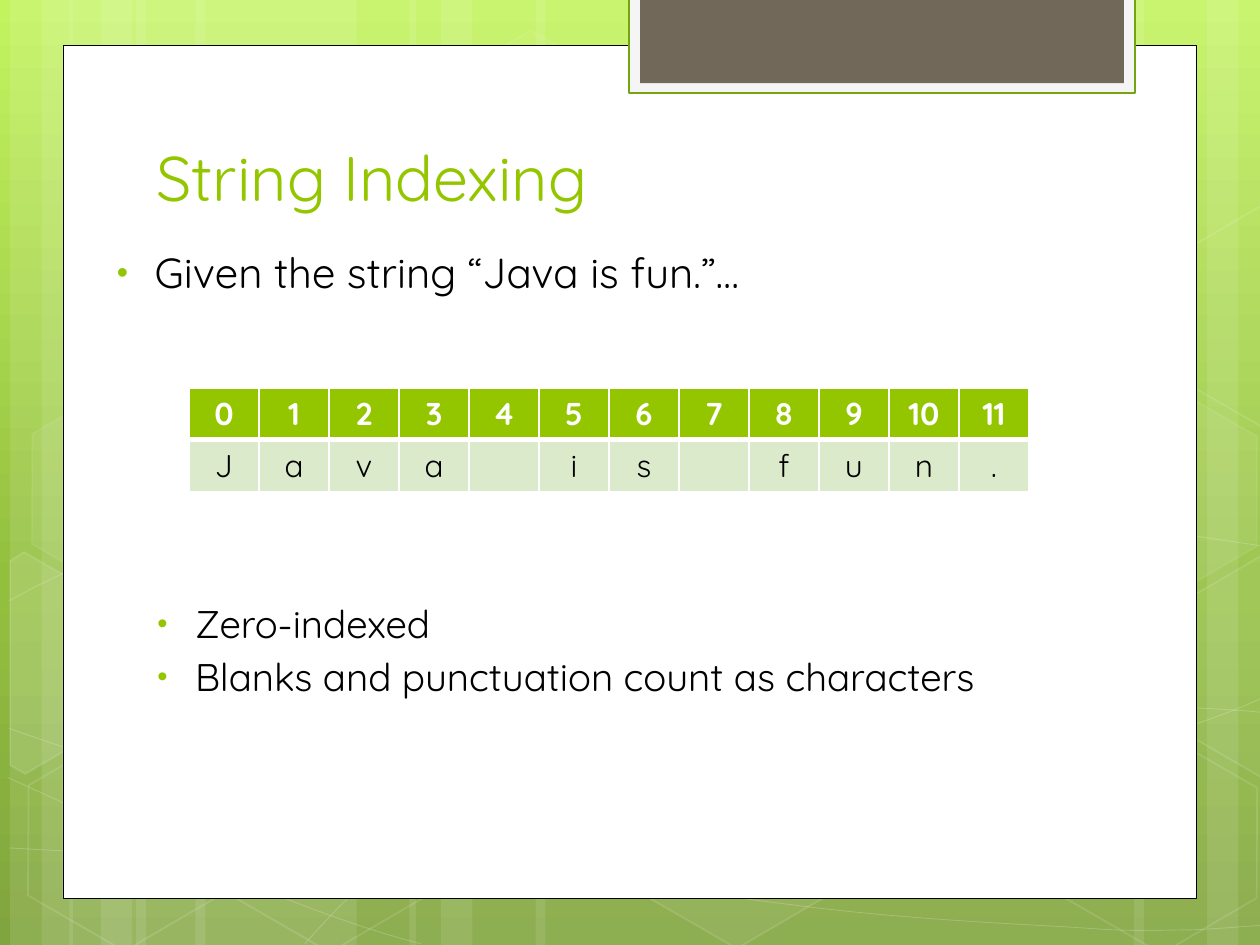
import copy
import math
from dataclasses import dataclass
from typing import NamedTuple

import pptx
import pptx.dml.color
import pptx.enum.shapes
import pptx.enum.text
import pptx.oxml
import pptx.oxml.ns
import pptx.util
from lxml import etree

Inches, Pt = pptx.util.Inches, pptx.util.Pt
RGB = pptx.dml.color.RGBColor.from_string
SHAPE = pptx.enum.shapes.MSO_SHAPE
ANCHOR, ALIGN = pptx.enum.text.MSO_ANCHOR, pptx.enum.text.PP_ALIGN
qn = pptx.oxml.ns.qn


@dataclass(frozen=True)
class Theme:
    font: str = "Quicksand"
    accent: str = "94C600"
    white: str = "FFFFFF"
    text: str = "000000"
    cell: str = "DCEACC"
    tab: str = "71685A"
    tab_frame: str = "F5F5F5"
    tab_line: str = "74A510"
    background: tuple = ((0, "C3F35F"), (0.62, "93BF3F"), (1, "81A53E"))
    title_size: int = 36
    body_size: int = 24
    detail_size: int = 22
    table_size: int = 18


class Box(NamedTuple):
    left: float
    top: float
    width: float
    height: float

    def inches(self):
        return [Inches(value) for value in self]


THEME = Theme()
SLIDE = Box(0, 0, 10, 7.5)
TILT = 30

STRIPES = [(left + shift, width) for shift in (0, 0.47)
           for left, width in ((1.08, 1.75), (0.08, 0.5), (0.33, 0.83))]
STRIPES += [(7.33, 1.75), (9.58, 0.5), (9, 0.83), (4.25, 3.08), (3.25, 0.5), (3.5, 0.83)]

# Each curve is a start point, then segments of three Bézier points or one line end.
CURVES = [
    [[(0.07, 6.73)], [(0.61, 6.76), (1.15, 6.79), (1.9, 6.78)],
     [(2.65, 6.77), (3.58, 6.75), (4.58, 6.65)], [(5.58, 6.55), (7, 6.36), (7.92, 6.17)],
     [(8.83, 5.98), (9.77, 5.68), (10.07, 5.51)]],
    [[(0.07, 4.77)], [(0.36, 4.61), (0.65, 4.46), (1.21, 4.31)],
     [(1.78, 4.16), (2.59, 3.94), (3.47, 3.87)], [(4.36, 3.8), (5.44, 3.79), (6.54, 3.87)],
     [(7.64, 3.95), (9.47, 4.26), (10.07, 4.34)]],
    [[(0.06, 6.17)], [(1.27, 6.72), (2.47, 7.27), (3.34, 7.49)]],
    [[(0.07, 5.78)], [(0.38, 5.89), (0.7, 6), (1.28, 6.16)],
     [(1.86, 6.31), (2.73, 6.56), (3.57, 6.73)], [(4.4, 6.9), (5.45, 7.08), (6.28, 7.18)],
     [(7.11, 7.29), (8, 7.33), (8.53, 7.36)], [(9.05, 7.4), (9.19, 7.38), (9.45, 7.38)],
     [(9.71, 7.37), (9.89, 7.35), (10.07, 7.34)]],
    [[(2.42, 7.49)], [(2.6, 7.29), (2.78, 7.09), (3.02, 6.91)],
     [(3.26, 6.73), (3.6, 6.53), (3.88, 6.39)], [(4.16, 6.25), (4.33, 6.19), (4.7, 6.09)],
     [(5.06, 5.99), (5.73, 5.85), (6.08, 5.78)], [(6.44, 5.71), (6.49, 5.71), (6.8, 5.69)],
     [(7.11, 5.66), (7.6, 5.63), (7.94, 5.62)], [(8.29, 5.61), (8.86, 5.62), (8.86, 5.62)],
     [(9.53, 5.62)], [(9.71, 5.63), (9.88, 5.64), (9.97, 5.65)],
     [(10.06, 5.66), (10.03, 5.65), (10.06, 5.66)]],
]

# left, top, fill opacity, line opacity
HEXAGONS = [(3.34, 0.36, 4, 8), (4.97, 5.89, 6, 12), (0.11, 5.91, 0, 12),
            (0.14, 3.12, 7, 8), (1.74, 5.92, 0, 12), (7.53, 4.53, 10, 12),
            (8.34, 5.93, 0, 12), (8.34, 3.14, 7, 8)]

# fill opacity, centre, corners of the hexagons cut by the slide edge
CUT_HEXAGONS = [
    (10, (0.36, 5.35),
     [(0.08, 4.45), (0.19, 4.38), (0.96, 4.82), (0.95, 5.7), (0.2, 6.14), (0.08, 6.07)]),
    (4, (9.85, 5.2),
     [(9.26, 4.85), (10.01, 4.41), (10.09, 4.46), (10.09, 6.13), (10.02, 6.17), (9.26, 5.73)]),
    (0, (9.85, 2.41),
     [(9.26, 2.07), (10.01, 1.63), (10.1, 1.68), (10.09, 3.35), (10.02, 3.39), (9.26, 2.95)]),
]


def paint(shape, fill=None, line=None, width=1, fill_opacity=100, line_opacity=100):
    shape.shadow.inherit = False
    for target, color, opacity in ((shape.fill, fill, fill_opacity),
                                   (shape.line.fill, line, line_opacity)):
        if color is None or opacity == 0:
            target.background()
            continue
        target.solid()
        target.fore_color.rgb = RGB(color)
        if opacity < 100:
            parent = shape.element.spPr if target is shape.fill else shape.line._ln
            color_element = parent.find(qn("a:solidFill") + "/" + qn("a:srgbClr"))
            etree.SubElement(color_element, qn("a:alpha"), val=str(opacity * 1000))
    if line:
        shape.line.width = Pt(width)


def add_block(slide, box, kind=SHAPE.RECTANGLE, **style):
    shape = slide.shapes.add_shape(kind, *box.inches())
    paint(shape, **style)
    return shape


def add_outline(slide, box, points, close, **style):
    corners = [(Inches(box.left + x), Inches(box.top + y)) for x, y in points]
    builder = slide.shapes.build_freeform(*corners[0])
    builder.add_line_segments(corners[1:], close=close)
    shape = builder.convert_to_shape()
    paint(shape, **style)
    return shape


def add_curve(slide, box, segments, **style):
    """Draw the points as lines, then turn each run of three into a Bézier segment."""
    shape = add_outline(slide, box, sum(segments, []), False, **style)
    lines = iter(shape.element.findall(".//" + qn("a:lnTo")))
    for segment in segments[1:]:
        parts = [next(lines) for _ in segment]
        if len(parts) == 3:
            bezier = etree.Element(qn("a:cubicBezTo"))
            parts[0].addprevious(bezier)
            for part in parts:
                bezier.append(part[0])
                part.getparent().remove(part)


def turn_back(point, center):
    """Undo the tilt, which the shape's own rotation puts back."""
    x, y = point[0] - center[0], point[1] - center[1]
    cosine, sine = math.cos(math.radians(TILT)), math.sin(math.radians(TILT))
    return center[0] + x * cosine + y * sine, center[1] - x * sine + y * cosine


def set_background(slide):
    fill = slide.background.fill
    fill.gradient()
    fill.gradient_angle = 270
    stop_list = slide.element.find(".//" + qn("a:gsLst"))
    stop_list.append(copy.deepcopy(stop_list[-1]))
    for stop, (position, color) in zip(fill.gradient_stops, THEME.background):
        stop.position = position
        stop.color.rgb = RGB(color)


def add_backdrop(slide, box):
    white = THEME.white
    for left, width in STRIPES:
        add_block(slide, Box(box.left + left, box.top, width, box.height),
                  fill=white, fill_opacity=10)
    for segments in CURVES:
        add_curve(slide, box, segments, line=white, width=0.5, line_opacity=20)
    for left, top, fill_opacity, line_opacity in HEXAGONS:
        hexagon = add_block(slide, Box(box.left + left, box.top + top, 1.75, 1.52),
                            SHAPE.HEXAGON, fill=white, line=white,
                            fill_opacity=fill_opacity, line_opacity=line_opacity)
        hexagon.adjustments[0] = 0.285
        hexagon.rotation = TILT
    for fill_opacity, center, points in CUT_HEXAGONS:
        add_outline(slide, box, [turn_back(point, center) for point in points], True,
                    fill=white, line=white, fill_opacity=fill_opacity,
                    line_opacity=12).rotation = TILT


def add_panel(slide, box):
    """Draw the white page with the tab that hangs over its top edge."""
    add_block(slide, box, fill=THEME.white, line=THEME.text, width=0.5)
    left, top = box.left + 4.49, box.top - 0.38
    add_block(slide, Box(left, top, 4.02, 0.76),
              fill=THEME.tab_frame, line=THEME.tab_line, width=1.25)
    add_block(slide, Box(left + 0.09, top, 3.84, 0.68), fill=THEME.tab)


def format_font(paragraph, size, color, bold=False):
    font = paragraph.font
    font.name, font.size, font.bold = THEME.font, Pt(size), bold
    font.color.rgb = RGB(color)


def place_title(slide, box, text):
    title = slide.shapes.title
    title.left, title.top, title.width, title.height = box.inches()
    title.element.getparent().append(title.element)
    frame = title.text_frame
    frame.text = text
    frame.auto_size = pptx.enum.text.MSO_AUTO_SIZE.NONE
    frame.vertical_anchor = ANCHOR.BOTTOM
    frame.paragraphs[0].alignment = ALIGN.LEFT
    format_font(frame.paragraphs[0], THEME.title_size, THEME.accent)


def add_bullets(slide, box, items):
    """Each item is text, level, type size and space before in points."""
    frame = slide.shapes.add_textbox(*box.inches()).text_frame
    frame.word_wrap = True
    for number, (text, level, size, space) in enumerate(items):
        paragraph = frame.add_paragraph() if number else frame.paragraphs[0]
        paragraph.text, paragraph.level = text, level
        paragraph.space_before = Pt(space)
        properties = paragraph._p.get_or_add_pPr()
        properties.set("marL", str(Inches(0.38 + 0.32 * level)))
        properties.set("indent", str(Inches(-0.3)))
        color = etree.SubElement(properties, qn("a:buClr"))
        etree.SubElement(color, qn("a:srgbClr"), val=THEME.accent)
        etree.SubElement(properties, qn("a:buSzPct"), val="76000")
        etree.SubElement(properties, qn("a:buFont"), typeface="Arial")
        etree.SubElement(properties, qn("a:buChar"), char="•")
        format_font(paragraph, size, THEME.text)


def set_borders(cell, widths):
    properties = cell._tc.get_or_add_tcPr()
    for position, (side, width) in enumerate(zip("LRTB", widths)):
        line = etree.Element(qn("a:ln" + side), w=str(Pt(width)))
        fill = etree.SubElement(line, qn("a:solidFill"))
        etree.SubElement(fill, qn("a:srgbClr"), val=THEME.white)
        properties.insert(position, line)


def add_index_table(slide, box, string):
    """Show the position of each character above the character."""
    rows = [[str(index) for index in range(len(string))], [char.strip() for char in string]]
    styles = [(THEME.accent, THEME.white, True, (1, 1, 1, 3)),
              (THEME.cell, THEME.text, False, (1, 1, 3, 1))]
    table = slide.shapes.add_table(len(rows), len(string), *box.inches()).table
    table.horz_banding = False
    for row, (texts, (fill, color, bold, borders)) in enumerate(zip(rows, styles)):
        for column, text in enumerate(texts):
            cell = table.cell(row, column)
            cell.text = text
            cell.fill.solid()
            cell.fill.fore_color.rgb = RGB(fill)
            set_borders(cell, borders)
            paragraph = cell.text_frame.paragraphs[0]
            paragraph.alignment = ALIGN.CENTER
            format_font(paragraph, THEME.table_size, color, bold)


def main():
    presentation = pptx.Presentation()
    presentation.slide_width, presentation.slide_height = SLIDE.inches()[2:]
    slide = presentation.slides.add_slide(presentation.slide_layouts[5])
    set_background(slide)
    add_backdrop(slide, SLIDE)
    add_panel(slide, Box(0.5, 0.36, 9, 6.77))
    place_title(slide, Box(1.14, 0.5, 7.68, 1.25), "String Indexing")
    add_bullets(slide, Box(0.75, 1.91, 8.5, 5.17), [
        ("Given the string “Java is fun.”…", 0, THEME.body_size, 0),
        ("Zero-indexed", 1, THEME.detail_size, 173),
        ("Blanks and punctuation count as characters", 1, THEME.detail_size, 4.2),
    ])
    add_index_table(slide, Box(1.5, 3.08, 6.67, 0.82), "Java is fun.")
    presentation.save("out.pptx")


if __name__ == "__main__":
    main()
